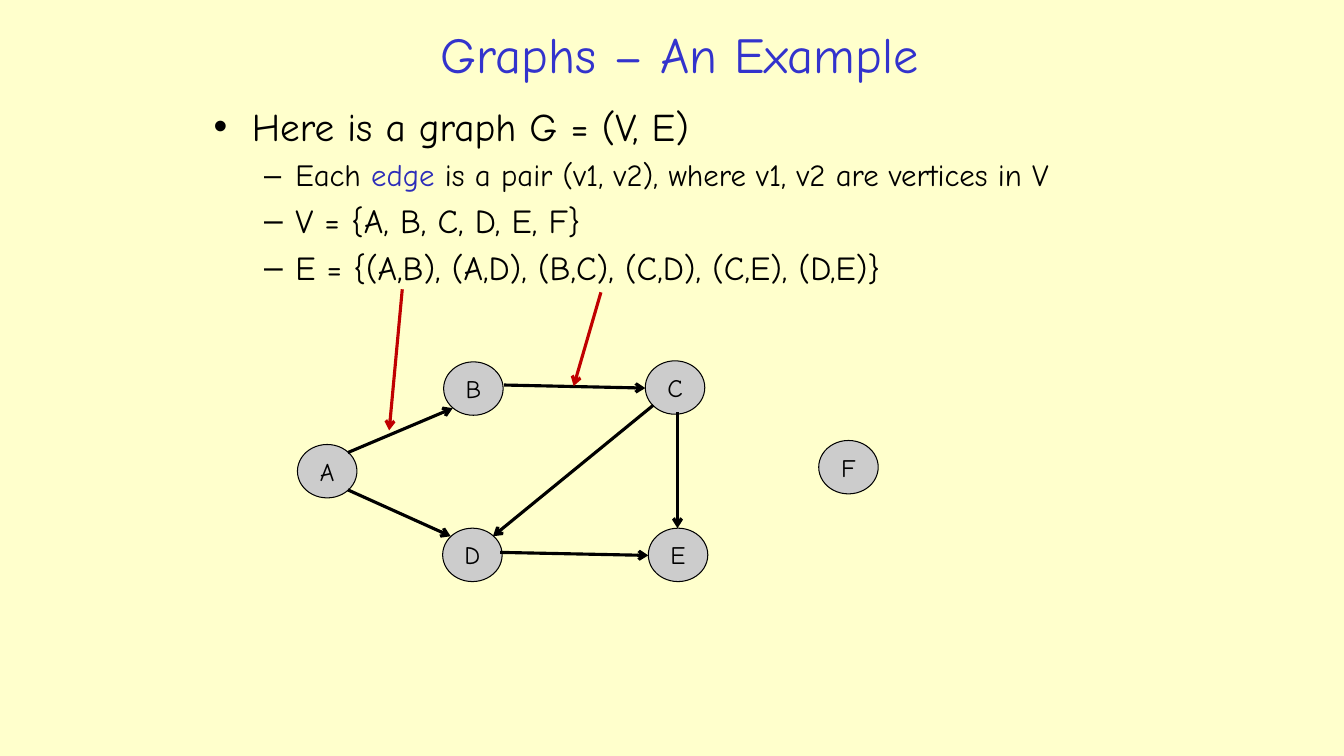
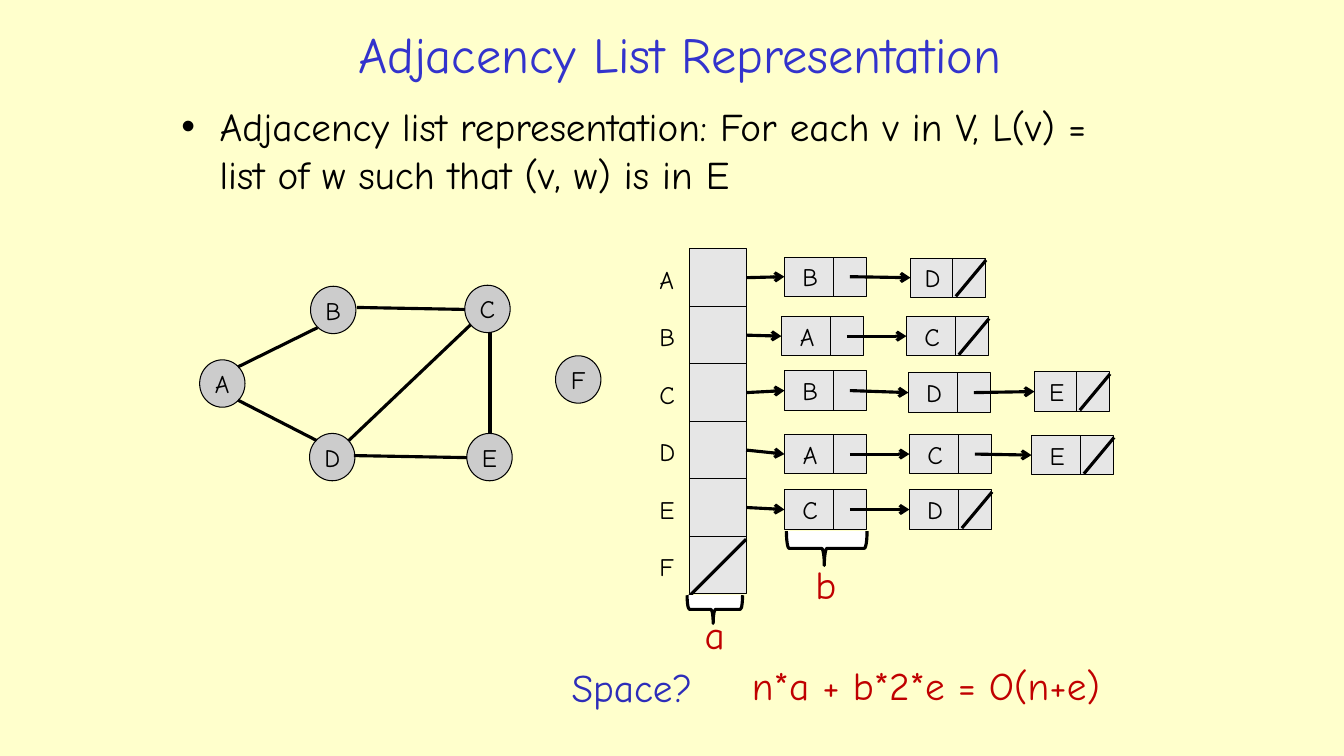
from lxml import etree
from pptx import Presentation
from pptx.dml.color import RGBColor
from pptx.enum import shapes, text
from pptx.oxml import ns
from pptx.util import Inches, Pt

FONT = "Comic Neue"
COLORS = {
    "background": "FFFFCC",
    "title": "3333CC",
    "accent": "2D2DB9",
    "red": "C00000",
    "black": "000000",
    "white": "FFFFFF",
    "node": "CCCCCC",
    "cell": "E6E6E6",
}
RGB = {name: RGBColor.from_string(value) for name, value in COLORS.items()}
KIND = shapes.MSO_SHAPE
CENTER = text.PP_ALIGN.CENTER


def add_box(s, at, words="", size=18, color="black", kind=None, fill=None, align=None, weight=0.75):
    at = [Inches(v) for v in at]
    if kind is None:
        sp = s.shapes.add_textbox(*at)
    else:
        sp = s.shapes.add_shape(kind, *at)
        sp.shadow.inherit = False
        sp.fill.solid()
        sp.fill.fore_color.rgb = RGB[fill]
        sp.line.color.rgb = RGB["black"]
        sp.line.width = Pt(weight)
    if words:
        tf = sp.text_frame
        tf.word_wrap = True
        tf.text = words
        if kind is not None:
            tf.margin_left = tf.margin_right = 0
            tf.vertical_anchor = text.MSO_ANCHOR.MIDDLE
        p = tf.paragraphs[0]
        p.alignment = align
        r = p.runs[0]
        r.font.name = FONT
        r.font.size = Pt(size)
        r.font.color.rgb = RGB[color]
    return sp


def add_line(s, start, end, color="black", arrow=True):
    points = [Inches(v) for v in (*start, *end)]
    line = s.shapes.add_connector(shapes.MSO_CONNECTOR.STRAIGHT, *points)
    line.line.color.rgb = RGB[color]
    line.line.width = Pt(2.25)
    spPr = line._element.spPr
    if arrow:
        etree.SubElement(spPr.find(ns.qn("a:ln")), ns.qn("a:tailEnd"), type="arrow")
    etree.SubElement(spPr, ns.qn("a:effectLst"))
    return line


prs = Presentation()
prs.slide_width = Inches(13.33)
prs.slide_height = Inches(7.5)

INDENTS = [(0.38, 0.38, "•"), (0.81, 0.31, "–")]
pages = [
    {
        "title": "Graphs – An Example",
        "body_at": (2.02, 0.97, 9.41, 2.1),
        "body": [
            (0, 28, [("Here is a graph G = (V, E)", "black")]),
            (1, 22, [("Each ", "black"), ("edge", "accent"),
                     (" is a pair (v1, v2), where v1, v2 are vertices in V", "black")]),
            (1, 24, [("V = {A, B, C, D, E, F}", "black")]),
            (1, 24, [("E = {(A,B), (A,D), (B,C), (C,D), (C,E), (D,E)}", "black")]),
        ],
        "node_size": (0.59, 0.53),
        "nodes": {"A": (2.95, 4.41), "B": (4.4, 3.59), "C": (6.4, 3.58),
                  "D": (4.39, 5.24), "E": (6.43, 5.24), "F": (8.12, 4.37)},
        "directed": True,
        "edges": [((3.45, 4.49), (4.49, 4.05)), ((5, 3.82), (6.4, 3.85)),
                  ((6.72, 4.09), (6.72, 5.24)), ((3.45, 4.86), (4.47, 5.32)),
                  ((4.96, 5.48), (6.43, 5.51)), ((6.48, 4.02), (4.89, 5.32))],
    },
    {
        "title": "Adjacency List Representation",
        "body_at": (1.7, 0.97, 9.73, 1.25),
        "body": [
            (0, 28, [("Adjacency list representation: For each v in V, L(v) = "
                      "list of w such that (v, w) is in E", "black")]),
        ],
        "node_size": (0.45, 0.47),
        "nodes": {"A": (1.98, 3.57), "B": (3.08, 2.84), "C": (4.61, 2.83),
                  "D": (3.07, 4.3), "E": (4.63, 4.3), "F": (5.51, 3.53)},
        "directed": False,
        "edges": [((2.36, 3.64), (3.15, 3.25)), ((3.54, 3.05), (4.61, 3.07)),
                  ((4.86, 3.29), (4.86, 4.3)), ((2.36, 3.97), (3.14, 4.37)),
                  ((3.51, 4.52), (4.63, 4.54)), ((4.67, 3.22), (3.46, 4.37))],
    },
]

for page in pages:
    s = prs.slides.add_slide(prs.slide_layouts[6])
    s.background.fill.solid()
    s.background.fill.fore_color.rgb = RGB["background"]

    title = add_box(s, (1.97, 0.15, 9.54, 0.76), page["title"], 36, "title", align=CENTER)
    title.text_frame.vertical_anchor = text.MSO_ANCHOR.MIDDLE

    tf = add_box(s, page["body_at"]).text_frame
    tf.word_wrap = True
    for i, (level, size, runs) in enumerate(page["body"]):
        p = tf.add_paragraph() if i else tf.paragraphs[0]
        left, hanging, bullet = INDENTS[level]
        p.level = level
        pPr = p._p.get_or_add_pPr()
        pPr.set("marL", str(Inches(left)))
        pPr.set("indent", str(-Inches(hanging)))
        etree.SubElement(pPr, ns.qn("a:buFont"), typeface="Arial")
        etree.SubElement(pPr, ns.qn("a:buChar"), char=bullet)
        if i:
            p.space_before = Pt(size * 0.2)
        for words, color in runs:
            r = p.add_run()
            r.text = words
            r.font.name = FONT
            r.font.size = Pt(size)
            r.font.color.rgb = RGB[color]

    for letter, place in page["nodes"].items():
        add_box(s, (*place, *page["node_size"]), letter, kind=KIND.OVAL, fill="node", align=CENTER)
    for start, end in page["edges"]:
        add_line(s, start, end, arrow=page["directed"])

example, adjacency = prs.slides
add_line(example, (5.96, 2.9), (5.69, 3.83), "red")
add_line(example, (3.99, 2.87), (3.86, 4.27), "red")

s = adjacency
INDEX_X, INDEX_Y, INDEX_W, INDEX_H = 6.84, 2.47, 0.56, 0.57
CELL_H, POINTER_W = 0.39, 0.32
rows = {
    "A": [("B", 7.78, 2.55, 0.51), ("D", 9.03, 2.56, 0.44)],
    "B": [("A", 7.75, 3.14, 0.51), ("C", 8.99, 3.14, 0.51)],
    "C": [("B", 7.78, 3.68, 0.51), ("D", 9.01, 3.7, 0.51), ("E", 10.26, 3.69, 0.44)],
    "D": [("A", 7.78, 4.31, 0.51), ("C", 9.02, 4.31, 0.51), ("E", 10.23, 4.32, 0.51)],
    "E": [("C", 7.78, 4.86, 0.51), ("D", 9.02, 4.86, 0.51)],
    "F": [],
}
for i, (vertex, cells) in enumerate(rows.items()):
    y = INDEX_Y + i * INDEX_H
    index = add_box(s, (INDEX_X, y, INDEX_W, INDEX_H), kind=KIND.RECTANGLE, fill="cell")
    label = add_box(s, (6.44, 2.57 + i * 0.57, 0.38, 0.4), vertex)
    label.text_frame.word_wrap = False
    start = (INDEX_X + INDEX_W, y + INDEX_H / 2)
    for j, (letter, x, top, width) in enumerate(cells):
        middle = top + CELL_H / 2
        pointer_x = x + width - 0.02
        cell = add_box(s, (x, top, width, CELL_H), letter, kind=KIND.RECTANGLE, fill="cell", align=CENTER)
        add_box(s, (pointer_x, top, POINTER_W, CELL_H), kind=KIND.RECTANGLE, fill="cell")
        link = add_line(s, start, (x, middle))
        if j == 0:
            link.begin_connect(index, 3)
        link.end_connect(cell, 1)
        start = (pointer_x + POINTER_W / 2, middle)
    if cells:
        add_line(s, (pointer_x + 0.33, top + 0.02), (pointer_x + 0.03, top + 0.38), arrow=False)
    else:
        add_line(s, (7.4, 5.35), (6.84, 5.91), arrow=False)

for brace_at, label_at, letter in [
    ((6.95, 5.77, 0.28, 0.55), (6.89, 6.01, 0.46, 0.57), "a"),
    ((8.03, 5.04, 0.34, 0.8), (7.99, 5.51, 0.47, 0.57), "b"),
]:
    brace = add_box(s, brace_at, kind=KIND.LEFT_BRACE, fill="white", weight=2.25)
    brace.rotation = 270
    brace.adjustments[0] = 0.08
    brace.adjustments[1] = 0.47
    add_box(s, label_at, letter, 28, "red")

add_box(s, (5.57, 6.53, 1.52, 0.57), "Space?", 28, "accent")
add_box(s, (7.36, 6.51, 4.15, 0.57), "n*a + b*2*e = O(n+e)", 28, "red")

prs.save("out.pptx")
